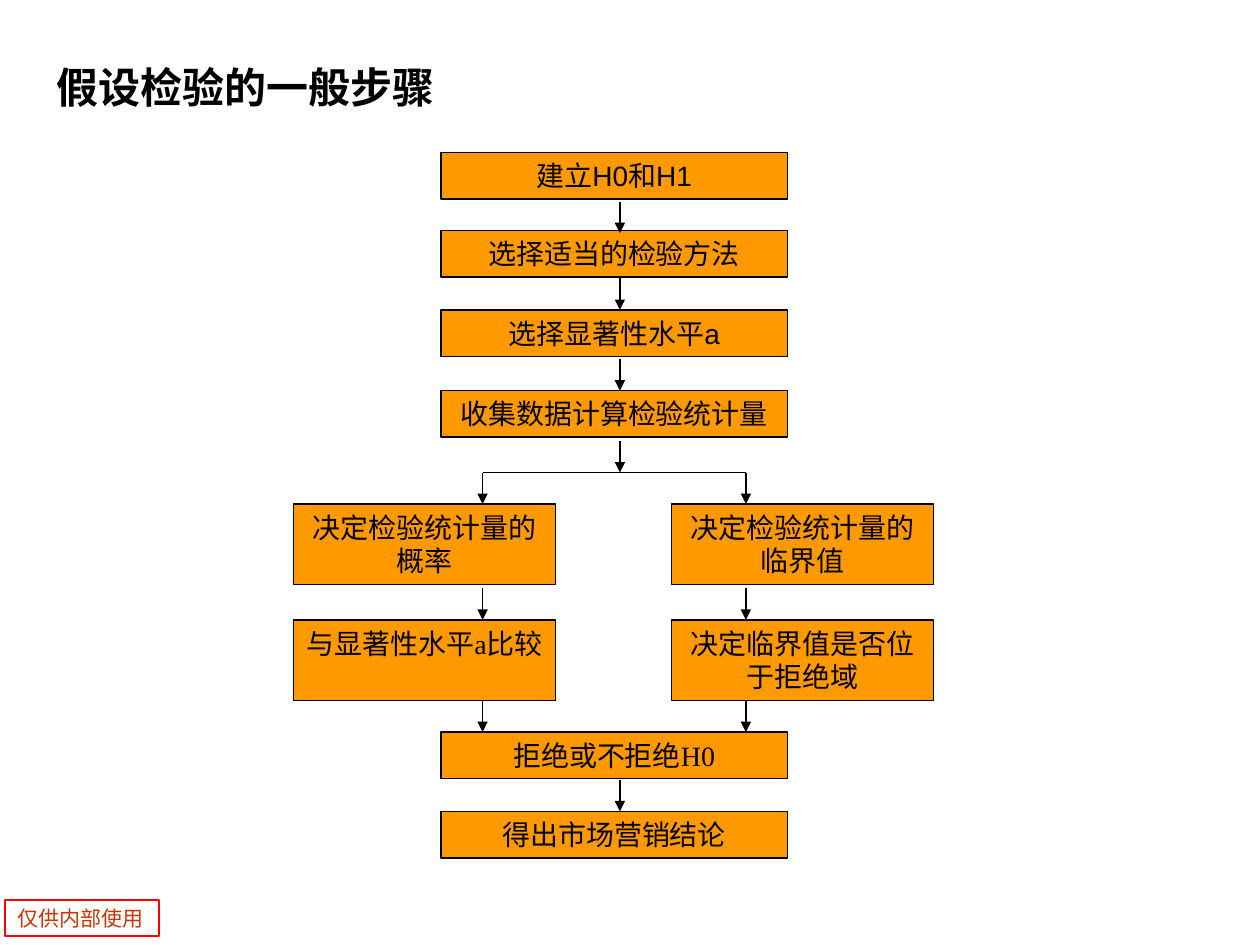
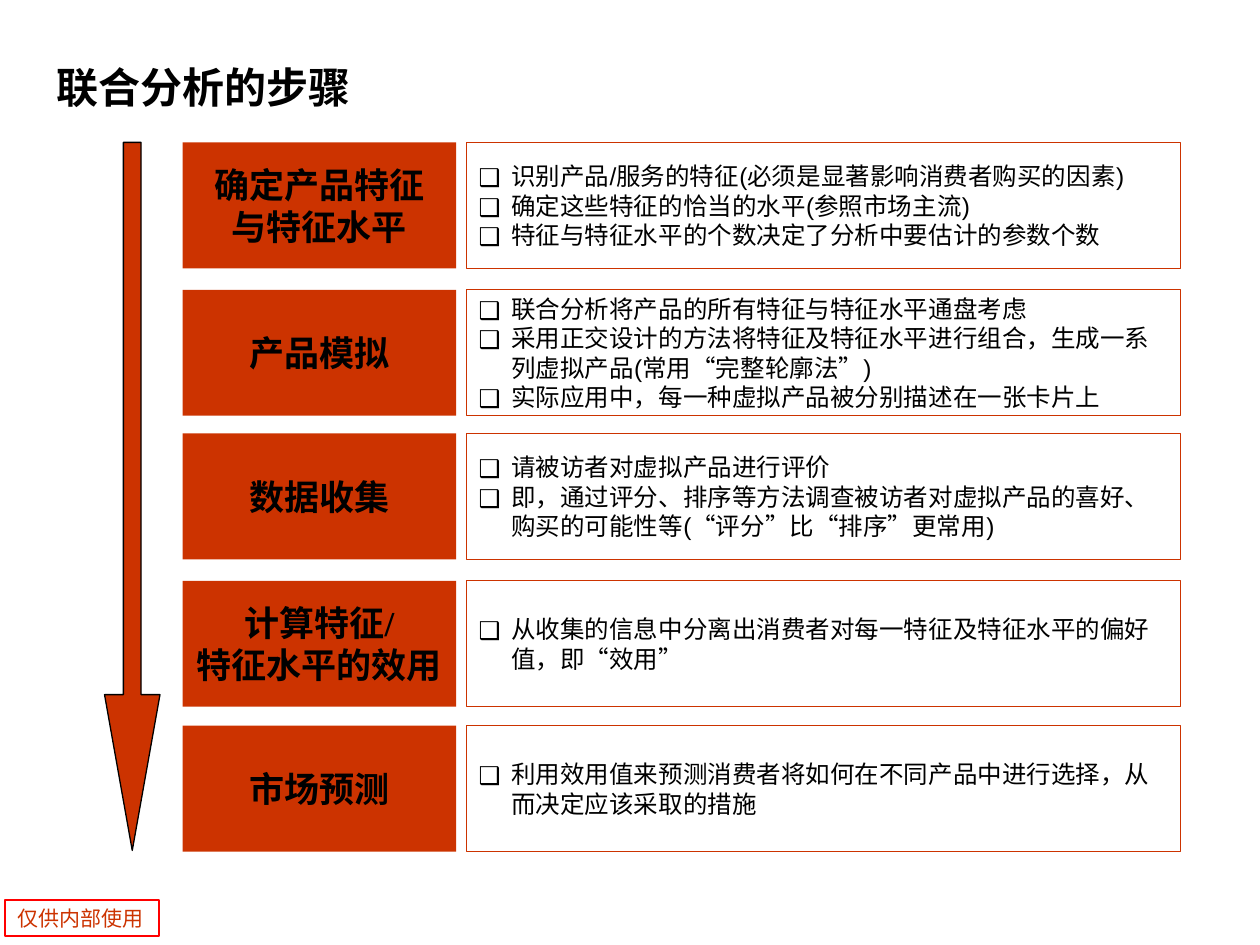
from lxml import etree
from pptx import Presentation, util as u
from pptx.dml.color import RGBColor
from pptx.enum import lang, shapes, text
from pptx.oxml.ns import qn

Inches, Pt = u.Inches, u.Pt
theme = dict(
    black="000000", red="CC3300", edge="FF0000", amber="FF9900",
    sans="Arial", serif="Times New Roman", han="Noto Sans CJK SC",
    head=24, label=20, step=16, body=14, note=12, thin=0.75,
)
black, red, amber = theme["black"], theme["red"], theme["amber"]
sans, serif, han = theme["sans"], theme["serif"], theme["han"]


def put(slide, words, at, size=theme["step"], font=serif, color=black, bold=False,
        fill=None, line=None, width=theme["thin"], center=False, middle=True,
        wrap=True, bullet=None, kind=shapes.MSO_SHAPE.RECTANGLE):
    """Add a shape with one paragraph per line of words."""
    box = slide.shapes.add_shape(kind, *[Inches(n) for n in at])
    box.shadow.inherit = False
    if fill:
        box.fill.solid()
        box.fill.fore_color.rgb = RGBColor.from_string(fill)
    else:
        box.fill.background()
    if line:
        box.line.color.rgb = RGBColor.from_string(line)
        box.line.width = Pt(width)
    else:
        box.line.fill.background()
    frame = box.text_frame
    frame.word_wrap = wrap
    frame.vertical_anchor = text.MSO_ANCHOR.MIDDLE if middle else text.MSO_ANCHOR.TOP
    for i, row in enumerate(words.split("\n") if words else []):
        para = frame.paragraphs[0] if i == 0 else frame.add_paragraph()
        para.alignment = text.PP_ALIGN.CENTER if center else text.PP_ALIGN.LEFT
        if bullet:
            prop = para._p.get_or_add_pPr()
            prop.set("marL", str(Inches(0.26)))
            prop.set("indent", str(-Inches(0.26)))
            etree.SubElement(prop, qn("a:buFont")).set("typeface", han)
            etree.SubElement(prop, qn("a:buChar")).set("char", bullet)
        run = para.add_run()
        run.text = row
        run.font.size = Pt(size)
        run.font.bold = bold
        run.font.color.rgb = RGBColor.from_string(color)
        run.font.name = font
        run.font.language_id = lang.MSO_LANGUAGE_ID.SIMPLIFIED_CHINESE
        etree.SubElement(run._r.get_or_add_rPr(), qn("a:ea")).set("typeface", han)
    return box


def link(slide, x1, y1, x2, y2, arrow=True):
    """Draw a thin black line, with an arrowhead at its end if asked."""
    wire = slide.shapes.add_connector(
        shapes.MSO_CONNECTOR.STRAIGHT, *[Inches(n) for n in (x1, y1, x2, y2)])
    wire.line.color.rgb = RGBColor.from_string(black)
    wire.line.width = Pt(theme["thin"])
    if arrow:
        etree.SubElement(wire.line._get_or_add_ln(), qn("a:tailEnd")).set("type", "triangle")
    etree.SubElement(wire._element.spPr, qn("a:effectLst"))


deck = Presentation()
deck.slide_width, deck.slide_height = Inches(10), Inches(7.5)

# Shared footer mark and title
pages = []
for title in ("假设检验的一般步骤", "联合分析的步骤"):
    page = deck.slides.add_slide(deck.slide_layouts[6])
    put(page, "仅供内部使用", (0.04, 7.14, 1.22, 0.29), size=theme["note"], font=han,
        color=red, line=theme["edge"], width=1, middle=False)
    put(page, title, (0.35, 0.23, 9.45, 0.92), size=theme["head"], bold=True)
    pages.append(page)
flow, plan = pages

# Flow chart: steps on the main line
main = [
    (1.21, "建立H0和H1", sans),
    (1.83, "选择适当的检验方法", sans),
    (2.46, "选择显著性水平a", sans),
    (3.10, "收集数据计算检验统计量", serif),
    (5.81, "拒绝或不拒绝H0", serif),
    (6.44, "得出市场营销结论", serif),
]
for top, words, font in main:
    put(flow, words, (3.5, top, 2.75, 0.37), font=font, fill=amber, line=black,
        center=True, middle=False)

# Flow chart: two branches
sides = [
    (2.33, ("决定检验统计量的概率", "与显著性水平a比较")),
    (5.33, ("决定检验统计量的临界值", "决定临界值是否位于拒绝域")),
]
for left, pair in sides:
    for top, words in zip((4, 4.92), pair):
        put(flow, words, (left, top, 2.08, 0.64), fill=amber, line=black,
            center=True, middle=False)

# Flow chart: arrows of equal length, and the fork
mid, fork = 4.92, (3.83, 5.92)
drops = [(mid, y) for y in (1.6, 2.21, 2.85, 3.5, 6.19)]
drops += [(x, y) for x in fork for y in (3.75, 4.67, 5.56)]
for x, y in drops:
    link(flow, x, y, x, y + 0.25)
link(flow, fork[0], 3.75, fork[1], 3.75, arrow=False)

# Plan: stage labels with their details
stages = [
    (1.13, "确定产品特征\n与特征水平",
     "识别产品/服务的特征(必须是显著影响消费者购买的因素)\n"
     "确定这些特征的恰当的水平(参照市场主流)\n"
     "特征与特征水平的个数决定了分析中要估计的参数个数"),
    (2.30, "产品模拟",
     "联合分析将产品的所有特征与特征水平通盘考虑\n"
     "采用正交设计的方法将特征及特征水平进行组合，生成一系列虚拟产品(常用“完整轮廓法”)\n"
     "实际应用中，每一种虚拟产品被分别描述在一张卡片上"),
    (3.44, "数据收集",
     "请被访者对虚拟产品进行评价\n"
     "即，通过评分、排序等方法调查被访者对虚拟产品的喜好、购买的可能性等(“评分”比“排序”更常用)"),
    (4.61, "计算特征/\n特征水平的效用",
     "从收集的信息中分离出消费者对每一特征及特征水平的偏好值，即“效用”"),
    (5.76, "市场预测",
     "利用效用值来预测消费者将如何在不同产品中进行选择，从而决定应该采取的措施"),
]
for top, label, body in stages:
    put(plan, label, (1.45, top, 2.17, 1), size=theme["label"], bold=True,
        fill=red, center=True, wrap=False)
    put(plan, body, (3.7, top, 5.67, 1), size=theme["body"], font=sans,
        line=red, bullet="❑")

# Plan: long arrow down the left side
down = put(plan, "", (0.83, 1.13, 0.44, 5.62), fill=red, line=black,
           kind=shapes.MSO_SHAPE.DOWN_ARROW)
down.adjustments[0], down.adjustments[1] = 0.32, 2.81

deck.save("out.pptx")
